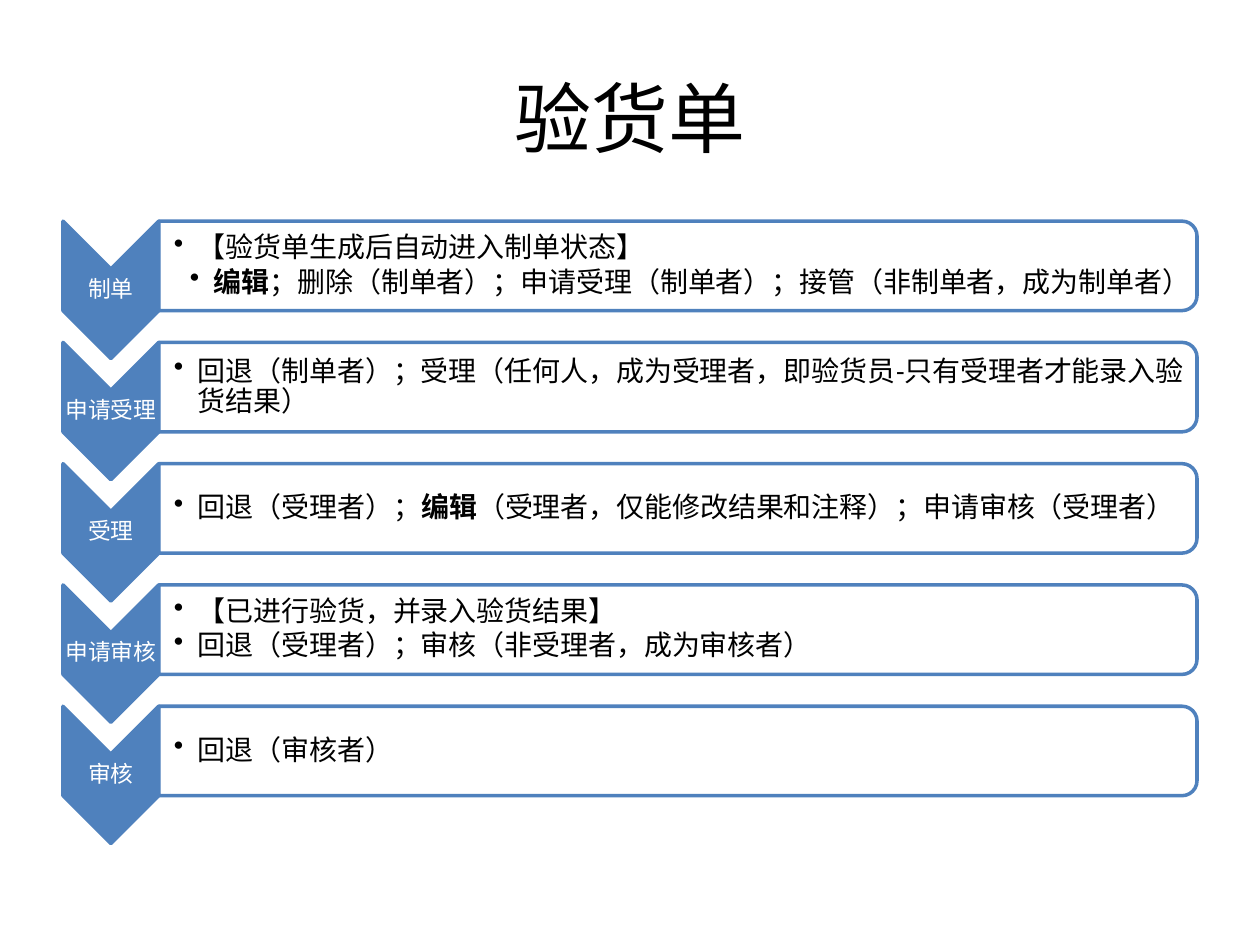
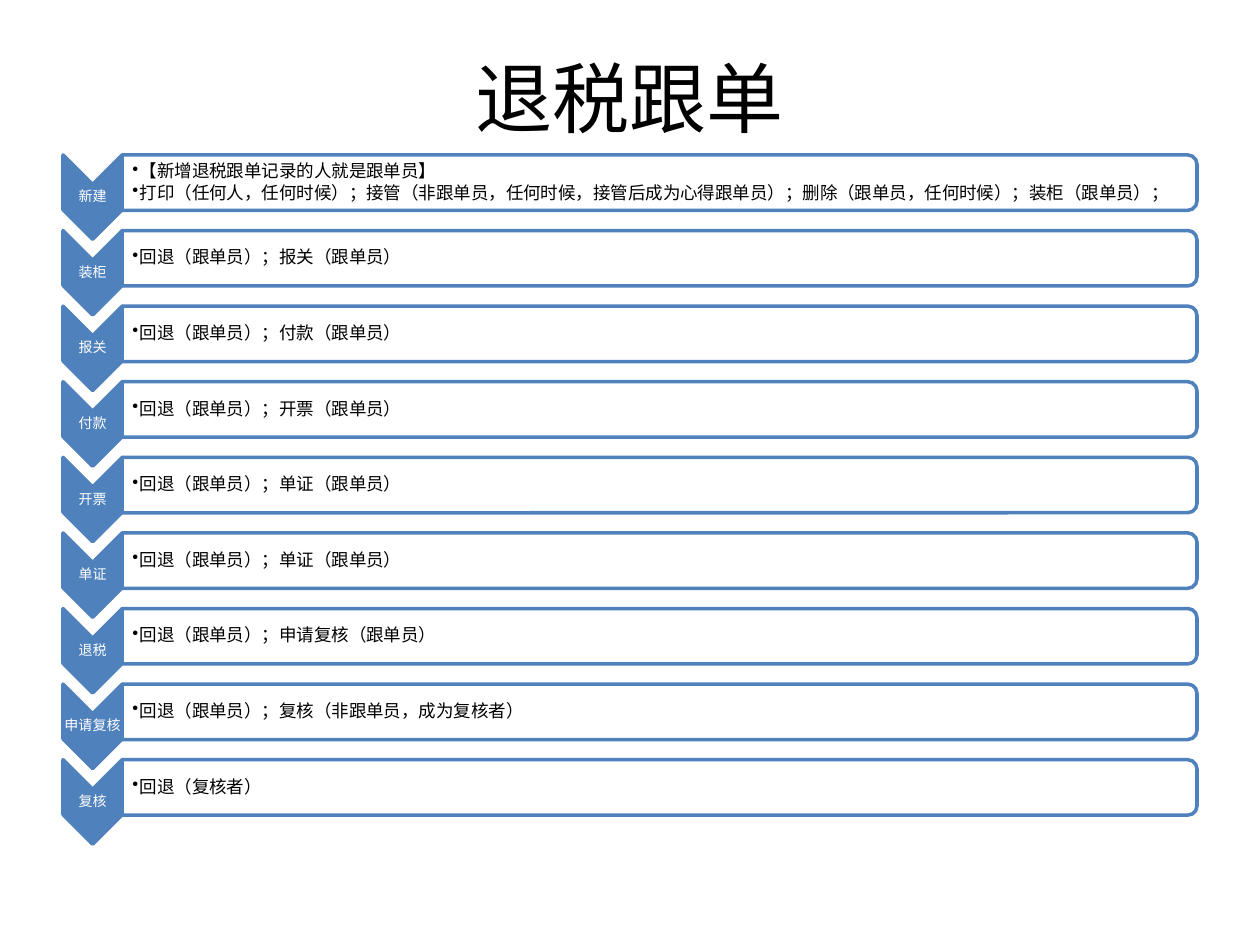
from dataclasses import dataclass

from lxml.etree import SubElement
from pptx import Presentation
from pptx.dml.color import RGBColor
from pptx.enum.shapes import MSO_SHAPE as Shape
from pptx.enum.text import MSO_ANCHOR as Anchor, PP_ALIGN as Align
from pptx.oxml.ns import qn
from pptx.util import Inches, Pt

BLUE = RGBColor(0x4F, 0x81, 0xBD)
WHITE = RGBColor(0xFF, 0xFF, 0xFF)
BLACK = RGBColor(0x00, 0x00, 0x00)
FONT = "Calibri"
LEFT = 0.5
RIGHT = 9.5
THIN = 0.01


@dataclass
class Step:
    label: str
    lines: list
    last_align: Align = Align.LEFT


@dataclass
class Flow:
    top: float
    pitch: float
    chevron_width: float
    chevron_height: float
    bar_height: float
    label_size: int
    detail_size: int
    detail_margin: float
    indent: float


INSPECTION_FLOW = Flow(1.755, 0.9625, 0.76, 1.09, 0.71, 13, 16, 0.12, 0.19)
REFUND_FLOW = Flow(1.23, 0.6, 0.47, 0.67, 0.44, 8, 10, 0.08, 0.06)

INSPECTION_STEPS = [
    Step("制单", ["【验货单生成后自动进入制单状态】",
                "*编辑*；删除（制单者）；申请受理（制单者）；接管（非制单者，成为制单者）"],
         Align.RIGHT),
    Step("申请受理", ["回退（制单者）；受理（任何人，成为受理者，即验货员-只有受理者才能录入验货结果）"]),
    Step("受理", ["回退（受理者）；*编辑*（受理者，仅能修改结果和注释）；申请审核（受理者）"]),
    Step("申请审核", ["【已进行验货，并录入验货结果】", "回退（受理者）；审核（非受理者，成为审核者）"]),
    Step("审核", ["回退（审核者）"]),
]

REFUND_STEPS = [
    Step("新建", ["【新增退税跟单记录的人就是跟单员】",
                "打印（任何人，任何时候）；接管（非跟单员，任何时候，接管后成为心得跟单员）；"
                "删除（跟单员，任何时候）；装柜（跟单员）；"]),
    Step("装柜", ["回退（跟单员）；报关（跟单员）"]),
    Step("报关", ["回退（跟单员）；付款（跟单员）"]),
    Step("付款", ["回退（跟单员）；开票（跟单员）"]),
    Step("开票", ["回退（跟单员）；单证（跟单员）"]),
    Step("单证", ["回退（跟单员）；单证（跟单员）"]),
    Step("退税", ["回退（跟单员）；申请复核（跟单员）"]),
    Step("申请复核", ["回退（跟单员）；复核（非跟单员，成为复核者）"]),
    Step("复核", ["回退（复核者）"]),
]


def add_bullet(paragraph, indent):
    paragraph.level = 1
    properties = paragraph._p.get_or_add_pPr()
    properties.set("marL", str(Inches(indent)))
    properties.set("indent", str(-Inches(indent)))
    SubElement(properties, qn("a:buChar")).set("char", "•")


def add_text(slide, box, lines, size, color=BLACK, align=Align.CENTER, last_align=None,
             margins=(THIN,) * 4, line_spacing=0.9, space_after=0, indent=None):
    frame = slide.shapes.add_textbox(*map(Inches, box)).text_frame
    frame.word_wrap = True
    frame.vertical_anchor = Anchor.MIDDLE
    (frame.margin_left, frame.margin_top,
     frame.margin_right, frame.margin_bottom) = map(Inches, margins)
    for index, line in enumerate(lines):
        paragraph = frame.add_paragraph() if index else frame.paragraphs[0]
        paragraph.alignment = align
        paragraph.line_spacing = line_spacing
        paragraph.space_after = Pt(size * space_after)
        if indent is not None:
            add_bullet(paragraph, indent)
        for position, part in enumerate(line.split("*")):
            if part:
                run = paragraph.add_run()
                run.text = part
                run.font.name = FONT
                run.font.size = Pt(size)
                run.font.color.rgb = color
                run.font.bold = position % 2 == 1
    if last_align is not None:
        frame.paragraphs[-1].alignment = last_align


def add_turned_shape(slide, kind, left, top, width, height, fill):
    turned_left = left + (width - height) / 2
    turned_top = top + (height - width) / 2
    shape = slide.shapes.add_shape(
        kind, *map(Inches, (turned_left, turned_top, height, width)))
    shape.rotation = 90
    shape.shadow.inherit = False
    shape.fill.solid()
    shape.fill.fore_color.rgb = fill
    shape.line.color.rgb = BLUE
    shape.line.width = Pt(2)
    return shape


def set_opacity(shape, percent):
    color = shape._element.spPr.find(qn("a:solidFill"))[0]
    SubElement(color, qn("a:alpha")).set("val", str(percent * 1000))


def add_step(slide, flow, step, top):
    width, height = flow.chevron_width, flow.chevron_height
    add_turned_shape(slide, Shape.CHEVRON, LEFT, top, width, height, BLUE)
    add_text(slide, (LEFT, top + width / 2, width, height - width), [step.label],
             flow.label_size, color=WHITE)

    bar_left = LEFT + width
    bar_width = RIGHT - bar_left
    bar = add_turned_shape(slide, Shape.ROUND_2_SAME_RECTANGLE, bar_left, top,
                           bar_width, flow.bar_height, WHITE)
    set_opacity(bar, 90)
    inset = flow.bar_height * 0.05
    add_text(slide, (bar_left, top + inset, bar_width - inset, flow.bar_height - 2 * inset),
             step.lines, flow.detail_size, align=Align.LEFT, last_align=step.last_align,
             margins=(flow.detail_margin, THIN, THIN, THIN), space_after=0.15,
             indent=flow.indent)


def add_flow_slide(presentation, title, title_height, flow, steps):
    slide = presentation.slides.add_slide(presentation.slide_layouts[6])
    add_text(slide, (LEFT, 0.3, RIGHT - LEFT, title_height), [title], 44,
             margins=(0.1, 0.05, 0.1, 0.05), line_spacing=1.0)
    for index, step in enumerate(steps):
        add_step(slide, flow, step, flow.top + index * flow.pitch)


def main():
    presentation = Presentation()
    presentation.slide_width = Inches(10)
    presentation.slide_height = Inches(7.5)
    add_flow_slide(presentation, "验货单", 1.25, INSPECTION_FLOW, INSPECTION_STEPS)
    add_flow_slide(presentation, "退税跟单", 0.93, REFUND_FLOW, REFUND_STEPS)
    presentation.save("out.pptx")


main()
